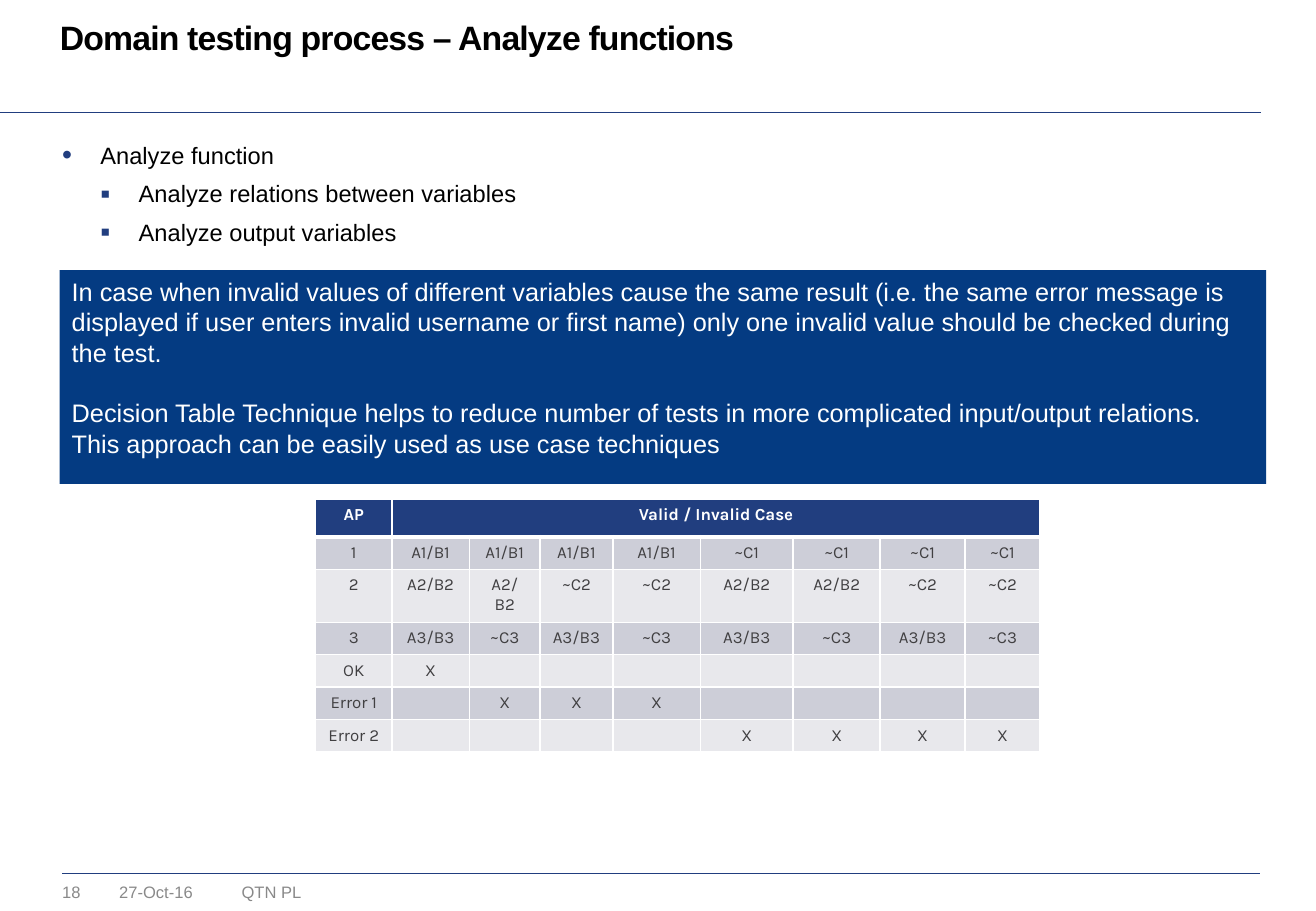
from dataclasses import dataclass

from lxml import etree
from pptx import Presentation
from pptx.dml.color import RGBColor
from pptx.enum.shapes import MSO_CONNECTOR, MSO_SHAPE
from pptx.enum.text import MSO_ANCHOR, PP_ALIGN
from pptx.oxml.ns import qn
from pptx.util import Cm, Pt

STRAIGHT = MSO_CONNECTOR.STRAIGHT
RECTANGLE = MSO_SHAPE.RECTANGLE
TOP = MSO_ANCHOR.TOP
LEFT, CENTER = PP_ALIGN.LEFT, PP_ALIGN.CENTER
TITLE_ONLY = 5


@dataclass(frozen=True)
class Theme:
    font: str = "Arial"
    table_font: str = "Karla"
    black: str = "000000"
    white: str = "FFFFFF"
    navy: str = "213E7F"
    panel: str = "043B82"
    footer: str = "898989"
    table_text: str = "414042"
    bands: tuple = ("CDCED8", "E8E8EC")
    title_size: float = 20
    panel_size: float = 15
    body_size: float = 14
    table_size: float = 10
    footer_size: float = 9.8


class SlideBuilder:
    def __init__(self, presentation, theme):
        self.theme = theme
        self.slide = presentation.slides.add_slide(presentation.slide_layouts[TITLE_ONLY])

    def format_runs(self, paragraph, size, color, bold=False, font=None):
        for run in paragraph.runs:
            run.font.name = font or self.theme.font
            run.font.size = Pt(size)
            run.font.bold = bold
            run.font.color.rgb = RGBColor.from_string(color)

    def clear_margins(self, text_frame):
        text_frame.margin_left = text_frame.margin_right = 0
        text_frame.margin_top = text_frame.margin_bottom = 0

    def title(self, text, left, top, width, height):
        shape = self.slide.shapes.title
        shape.left, shape.top, shape.width, shape.height = map(Cm, (left, top, width, height))
        text_frame = shape.text_frame
        text_frame.text = text
        text_frame.vertical_anchor = TOP
        self.clear_margins(text_frame)
        paragraph = text_frame.paragraphs[0]
        paragraph.alignment = LEFT
        paragraph.line_spacing = Pt(21.7)
        self.format_runs(paragraph, self.theme.title_size, self.theme.black, bold=True)
        paragraph.runs[0].font._element.set("spc", "-50")

    def rule(self, left, right, y):
        line = self.slide.shapes.add_connector(STRAIGHT, Cm(left), Cm(y), Cm(right), Cm(y))
        line.line.color.rgb = RGBColor.from_string(self.theme.navy)
        line.line.width = Pt(0.25)
        etree.SubElement(line._element.spPr, qn("a:effectLst"))

    def text_box(self, text, left, top, width, height):
        shape = self.slide.shapes.add_textbox(Cm(left), Cm(top), Cm(width), Cm(height))
        text_frame = shape.text_frame
        text_frame.word_wrap = True
        self.clear_margins(text_frame)
        text_frame.text = text
        return text_frame

    def footer(self, text, left, width):
        text_frame = self.text_box(text, left, 18.44, width, 0.42)
        self.format_runs(text_frame.paragraphs[0], self.theme.footer_size, self.theme.footer)

    def bullet(self, paragraph, level):
        indent = Cm(0.8)
        properties = paragraph._p.get_or_add_pPr()
        properties.set("marL", str(indent * (level + 1)))
        properties.set("indent", str(-indent))
        if level:
            properties.set("lvl", str(level))
        color = etree.SubElement(properties, qn("a:buClr"))
        etree.SubElement(color, qn("a:srgbClr"), val=self.theme.navy)
        etree.SubElement(properties, qn("a:buSzPct"), val="120000")
        etree.SubElement(properties, qn("a:buFont"), typeface=self.theme.font)
        etree.SubElement(properties, qn("a:buChar"), char="▪" if level else "•")

    def bullets(self, items, left, top, width, height):
        text_frame = self.text_box("\n".join(text for text, _ in items), left, top, width, height)
        for index, (paragraph, (_, level)) in enumerate(zip(text_frame.paragraphs, items)):
            self.bullet(paragraph, level)
            paragraph.space_before = Pt(3 if index else 0)
            paragraph.space_after = Pt(3)
            self.format_runs(paragraph, self.theme.body_size, self.theme.black)

    def panel(self, texts, left, top, width, height):
        shape = self.slide.shapes.add_shape(RECTANGLE, Cm(left), Cm(top), Cm(width), Cm(height))
        shape.shadow.inherit = False
        shape.fill.solid()
        shape.fill.fore_color.rgb = RGBColor.from_string(self.theme.panel)
        shape.line.fill.background()
        text_frame = shape.text_frame
        text_frame.word_wrap = True
        text_frame.vertical_anchor = TOP
        text_frame.text = "\n".join(texts)
        for index, paragraph in enumerate(text_frame.paragraphs):
            paragraph.alignment = LEFT
            paragraph.line_spacing = Pt(18)
            paragraph.space_before = Pt(18 if index else 0)
            self.format_runs(paragraph, self.theme.panel_size, self.theme.white)

    def cell_borders(self, cell, bottom_width):
        properties = cell._tc.get_or_add_tcPr()
        for side, width in (("L", 1), ("R", 1), ("T", 1), ("B", bottom_width)):
            border = etree.SubElement(properties, qn(f"a:ln{side}"), w=str(Pt(width)))
            fill = etree.SubElement(border, qn("a:solidFill"))
            etree.SubElement(fill, qn("a:srgbClr"), val=self.theme.white)

    def table(self, rows, left, top, column_widths, row_heights):
        frame = self.slide.shapes.add_table(
            len(rows), len(column_widths), Cm(left), Cm(top),
            Cm(sum(column_widths)), Cm(sum(row_heights)))
        table = frame.table
        for column, width in zip(table.columns, column_widths):
            column.width = Cm(width)
        for row_index, (row, height) in enumerate(zip(rows, row_heights)):
            table.rows[row_index].height = Cm(height)
            header = row_index == 0
            fill = self.theme.navy if header else self.theme.bands[(row_index - 1) % 2]
            color = self.theme.white if header else self.theme.table_text
            for cell, text in zip(table.rows[row_index].cells, row):
                self.cell_borders(cell, 3 if header else 1)
                cell.fill.solid()
                cell.fill.fore_color.rgb = RGBColor.from_string(fill)
                cell.text_frame.text = text
                paragraph = cell.text_frame.paragraphs[0]
                paragraph.alignment = CENTER
                paragraph.font.size = Pt(self.theme.table_size)
                self.format_runs(paragraph, self.theme.table_size, color,
                                 bold=header, font=self.theme.table_font)
        table.cell(0, 1).merge(table.cell(0, len(column_widths) - 1))


def main():
    presentation = Presentation()
    presentation.slide_width, presentation.slide_height = Cm(27.51), Cm(19.05)
    builder = SlideBuilder(presentation, Theme())

    # Rules and footer
    builder.rule(1.3, 26.34, 18.26)
    builder.rule(0, 26.37, 2.34)
    for text, left, width in (("18", 1.3, 1), ("27-Oct-16", 2.49, 2.26), ("QTN PL", 5.05, 3.58)):
        builder.footer(text, left, width)

    # Title and bullets
    builder.title("Domain testing process – Analyze functions", 1.25, 0.43, 25.22, 0.79)
    builder.bullets([
        ("Analyze function", 0),
        ("Analyze relations between variables", 1),
        ("Analyze output variables", 1),
    ], 1.3, 2.94, 11.79, 2.6)

    # Highlighted advice
    builder.panel([
        "In case when invalid values of different variables cause the same result (i.e. the same "
        "error message is displayed if user enters invalid username or first name) only one "
        "invalid value should be checked during the test.",
        "Decision Table Technique helps to reduce number of tests in more complicated "
        "input/output relations. This approach can be easily used as use case techniques",
    ], 1.25, 5.65, 25.22, 4.47)

    # Decision table
    rows = [["AP", "Valid / Invalid Case"] + [""] * 7]
    for number, valid_cases in ((1, "11110000"), (2, "11001100"), (3, "10101010")):
        rows.append([str(number)] + [
            f"A{number}/B{number}" if valid == "1" else f"~C{number}" for valid in valid_cases])
    for outcome, marked_cases in (("OK", [1]), ("Error 1", [2, 3, 4]), ("Error 2", [5, 6, 7, 8])):
        rows.append([outcome] + ["X" if case in marked_cases else "" for case in range(1, 9)])
    builder.table(rows, 6.6, 10.44,
                  [1.59, 1.62, 1.48, 1.52, 1.83, 1.94, 1.82, 1.77, 1.57],
                  [0.79] + [0.66] * 6)

    presentation.save("out.pptx")


if __name__ == "__main__":
    main()
